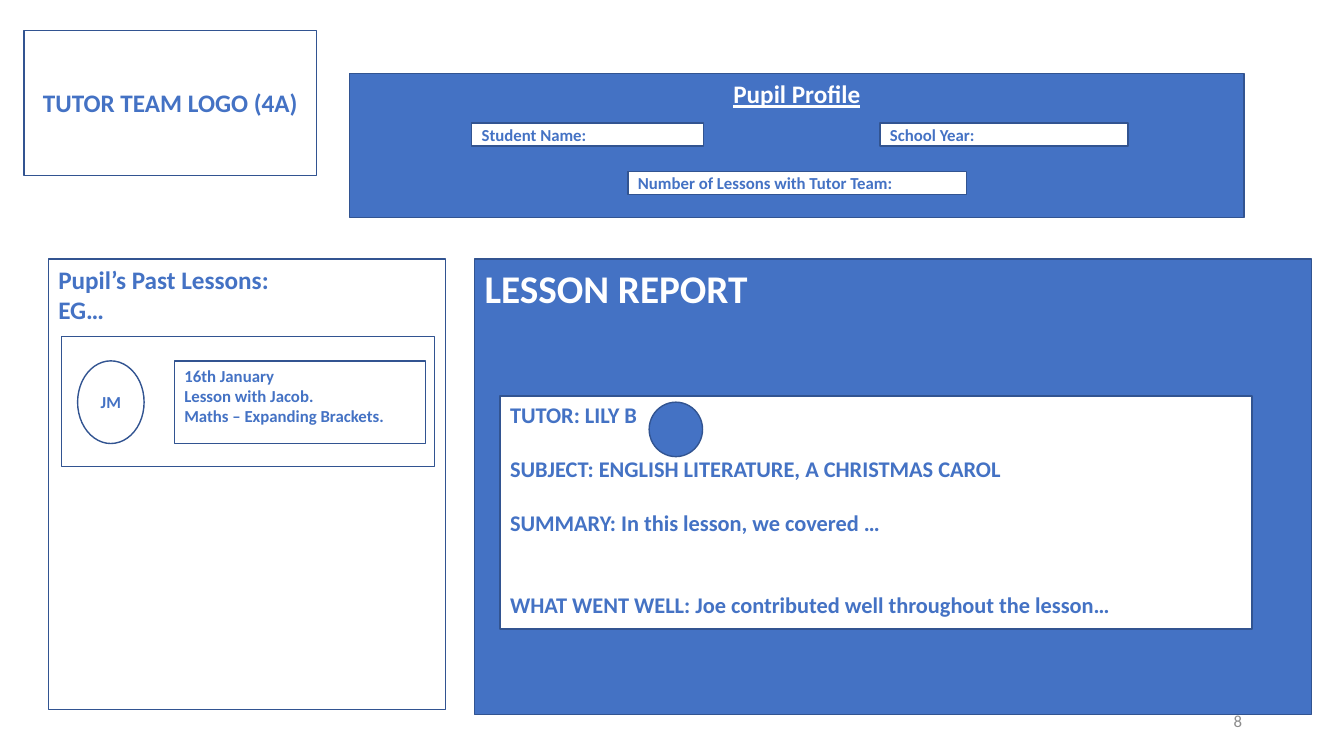
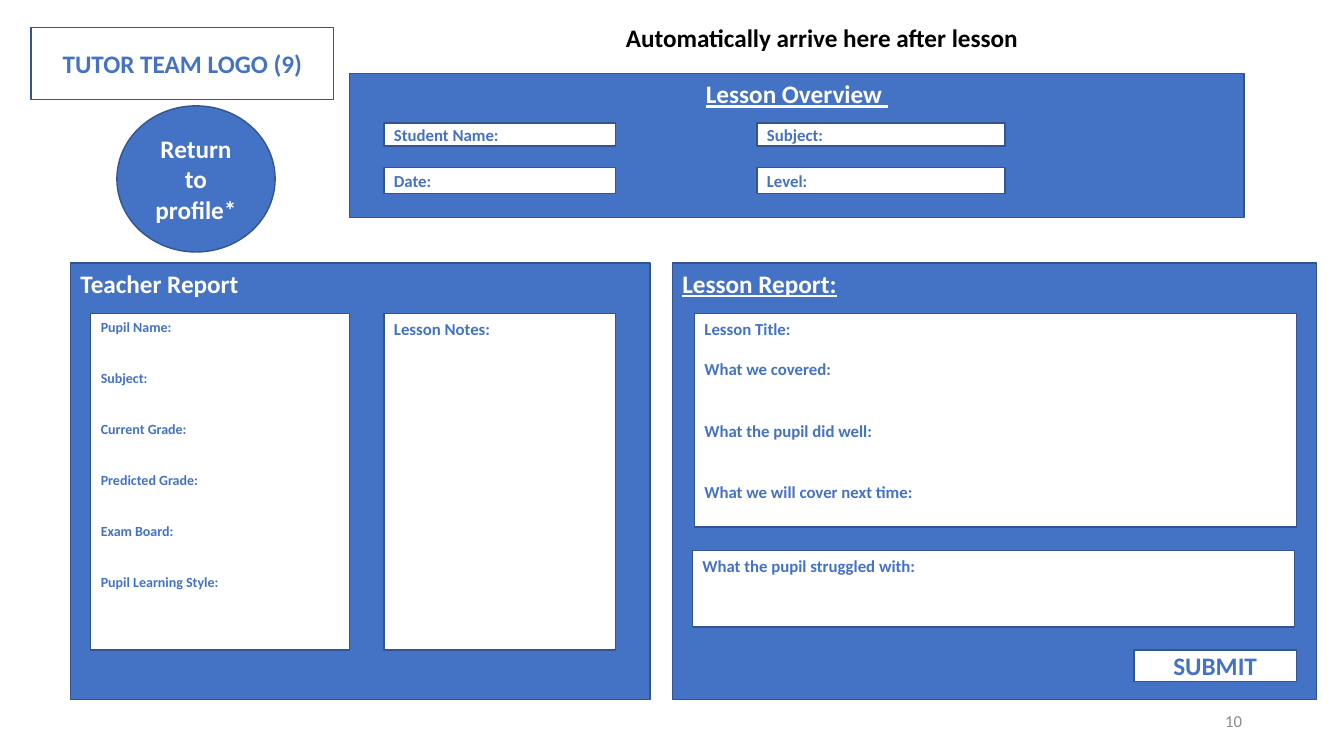
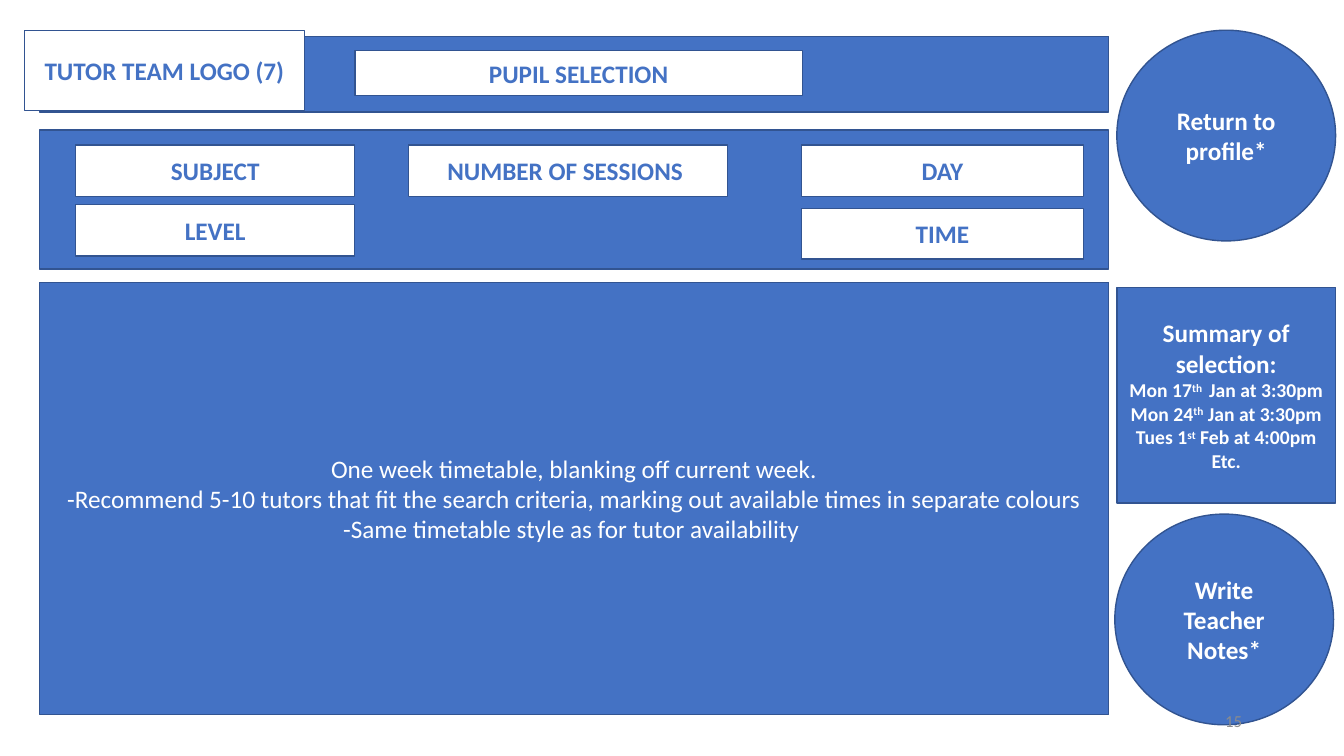
from dataclasses import dataclass
from enum import Enum
from typing import NamedTuple

import pptx
import pptx.dml.color
import pptx.enum.shapes
import pptx.enum.text
import pptx.util
from lxml import etree

RGBColor = pptx.dml.color.RGBColor
Align = pptx.enum.text.PP_ALIGN
Anchor = pptx.enum.text.MSO_ANCHOR
Preset = pptx.enum.shapes.MSO_SHAPE

# Shared look
BLUE = RGBColor(0x44, 0x72, 0xC4)
OUTLINE = RGBColor(0x32, 0x54, 0x91)
WHITE = RGBColor(0xFF, 0xFF, 0xFF)
BLACK = RGBColor(0x00, 0x00, 0x00)
GREY = RGBColor(0x8C, 0x8C, 0x8C)
FONT = "Calibri"
LINE_HEIGHT = 1.22
HEADING, FIELD = 18, 12

# The grid: every place is given in columns and rows of a tenth of an inch
COLUMNS, ROWS = 133.33, 75
CELL = pptx.util.Inches(0.1)


class Place(NamedTuple):
    left: float
    top: float
    width: float
    height: float


class Line(NamedTuple):
    """One paragraph; the text between carets is superscript."""
    text: str
    gap: int = 0  # empty line heights above
    size: int = 0  # 0 takes the size of the panel


class Role(Enum):
    BOX = "box"
    CIRCLE = "circle"
    TITLE = "title"
    BODY = "body"


@dataclass(frozen=True)
class Panel:
    place: Place
    lines: tuple[Line, ...] = ()
    fill: RGBColor = WHITE
    size: int = HEADING
    align: Align = Align.LEFT
    anchor: Anchor = Anchor.TOP
    bold: bool = True
    underline: bool = False
    role: Role = Role.BOX


@dataclass(frozen=True)
class PageContent:
    number: str
    panels: tuple[Panel, ...]
    note: str = ""


# Recurring kinds of panel
def field(place: Place, text: str) -> Panel:
    return Panel(place, (Line(text),), size=FIELD, anchor=Anchor.MIDDLE)


def button(place: Place, text: str, role: Role = Role.BOX) -> Panel:
    return Panel(place, (Line(text),), align=Align.CENTER,
                 anchor=Anchor.MIDDLE, role=role)


def circle(place: Place, text: str = "", fill: RGBColor = BLUE,
           size: int = HEADING) -> Panel:
    lines = (Line(text),) if text else ()
    return Panel(place, lines, fill, size, Align.CENTER, Anchor.MIDDLE,
                 role=Role.CIRCLE)


def title_band(text: str) -> Panel:
    return Panel(Place(34.7, 7.3, 88.7, 14.3), (Line(text),), BLUE,
                 align=Align.CENTER, underline=True, role=Role.TITLE)


# Drawing
def emu(place: Place) -> list[int]:
    return [round(cells * CELL) for cells in place]


def write_line(para, line: Line, panel: Panel, first: bool) -> None:
    size = line.size or panel.size
    para.alignment = panel.align
    para.space_before = pptx.util.Pt(0 if first else line.gap * size * LINE_HEIGHT)
    if panel.role is Role.BODY:
        properties = para._p.get_or_add_pPr()
        properties.set("marL", "0")
        properties.set("indent", "0")
        namespace = etree.QName(properties).namespace
        etree.SubElement(properties, f"{{{namespace}}}buNone")
    para.font.name = FONT
    para.font.size = pptx.util.Pt(size)
    para.font.bold = panel.bold
    para.font.underline = panel.underline
    para.font.color.rgb = WHITE if panel.fill == BLUE else BLUE
    for index, text in enumerate(line.text.split("^")):
        span = para.add_run()
        span.text = text
        if index % 2:
            span._r.get_or_add_rPr().set("baseline", "30000")


def draw_panel(page, panel: Panel) -> None:
    left, top, width, height = emu(panel.place)
    if panel.role in (Role.TITLE, Role.BODY):
        box = page.shapes.title if panel.role is Role.TITLE else page.placeholders[1]
        box.left, box.top, box.width, box.height = left, top, width, height
        page.shapes._spTree.append(box._element)  # keep the stacking order
    else:
        preset = Preset.OVAL if panel.role is Role.CIRCLE else Preset.RECTANGLE
        box = page.shapes.add_shape(preset, left, top, width, height)
    box.shadow.inherit = False
    box.fill.solid()
    box.fill.fore_color.rgb = panel.fill
    box.line.color.rgb = OUTLINE
    box.line.width = pptx.util.Pt(1)
    frame = box.text_frame
    frame.word_wrap = True
    frame.auto_size = pptx.enum.text.MSO_AUTO_SIZE.NONE
    frame.vertical_anchor = panel.anchor
    for index, line in enumerate(panel.lines):
        para = frame.add_paragraph() if index else frame.paragraphs[0]
        write_line(para, line, panel, first=index == 0)


def draw_label(page, place: Place, text: str, size: int, color: RGBColor,
               align: Align, bold: bool, wrap: bool) -> None:
    frame = page.shapes.add_textbox(*emu(place)).text_frame
    frame.word_wrap = wrap
    frame.vertical_anchor = Anchor.MIDDLE
    para = frame.paragraphs[0]
    para.text = text
    para.alignment = align
    para.font.name = FONT
    para.font.size = pptx.util.Pt(size)
    para.font.bold = bold
    para.font.color.rgb = color


def draw_page(deck, content: PageContent) -> None:
    page = deck.slides.add_slide(deck.slide_layouts[1])
    for panel in content.panels:
        draw_panel(page, panel)
    if content.note:
        draw_label(page, Place(61.1, 1.7, 41.3, 4), content.note, HEADING,
                   BLACK, Align.LEFT, bold=True, wrap=False)
    draw_label(page, Place(94.2, 69.5, 30, 4), content.number, FIELD,
               GREY, Align.RIGHT, bold=False, wrap=True)


# Pupil profile
PROFILE = PageContent("8", (
    button(Place(2.4, 3, 29, 14.4), "TUTOR TEAM LOGO (4A)"),
    title_band("Pupil Profile"),
    field(Place(46.8, 12.2, 23, 2.3), "Student Name:"),
    field(Place(62.3, 17, 33.6, 2.3), "Number of Lessons with Tutor Team:"),
    field(Place(87.3, 12.2, 24.6, 2.3), "School Year:"),
    Panel(Place(4.8, 25.7, 39.4, 44.7),
          (Line("Pupil’s Past Lessons:"), Line("EG…"))),
    Panel(Place(47.1, 25.7, 83, 45.2), (Line("LESSON REPORT"),), BLUE, size=28),
    Panel(Place(6.1, 33.4, 37, 12.9)),
    circle(Place(7.7, 35.8, 6.6, 8.2), "JM", WHITE, FIELD),
    Panel(Place(17.3, 35.8, 24.9, 8.2),
          (Line("16th January"), Line("Lesson with Jacob."),
           Line("Maths – Expanding Brackets.")), size=FIELD),
    Panel(Place(49.6, 39.3, 74.6, 23.1),
          (Line("TUTOR: LILY B"),
           Line("SUBJECT: ENGLISH LITERATURE, A CHRISTMAS CAROL", 1),
           Line("SUMMARY: In this lesson, we covered …", 1),
           Line("WHAT WENT WELL: Joe contributed well throughout the lesson…", 2)),
          size=16, role=Role.BODY),
    circle(Place(64.4, 39.9, 5.3, 5.4)),
))

# Lesson overview
PUPIL_DETAILS = ("Pupil Name:", "Subject:", "Current Grade:", "Predicted Grade:",
                 "Exam Board:", "Pupil Learning Style:")
OVERVIEW_FIELDS = (("Student Name:", "Subject:"), ("Date:", "Level:"))
OVERVIEW_COLUMNS = ((38.1, 23), (75.1, 24.6))
OVERVIEW_ROWS = ((12.2, 2.3), (16.6, 2.6))

OVERVIEW = PageContent("10", (
    circle(Place(11.6, 10.5, 15.7, 14.5), "Return to profile*"),
    title_band("Lesson Overview "),
    Panel(Place(7, 26.1, 57.5, 43.3), (Line("Teacher Report"),), BLUE),
    Panel(Place(66.7, 26.1, 63.9, 43.3), (Line("Lesson Report:"),), BLUE,
          underline=True),
    Panel(Place(9, 31.1, 25.7, 33.4),
          tuple(Line(text, 2) for text in PUPIL_DETAILS), size=10, role=Role.BODY),
    Panel(Place(38.1, 31.1, 23, 33.4), (Line("Lesson Notes:"),), size=FIELD),
    button(Place(3.1, 2.7, 30, 7.2), "TUTOR TEAM LOGO (9)"),
    *(field(Place(left, top, width, height), text)
      for (top, height), texts in zip(OVERVIEW_ROWS, OVERVIEW_FIELDS)
      for (left, width), text in zip(OVERVIEW_COLUMNS, texts)),
    Panel(Place(68.9, 31.1, 59.7, 21.2),
          (Line("Lesson Title:"), Line("What we covered:", 1),
           Line("What the pupil did well:", 2),
           Line("What we will cover next time:", 2)), size=FIELD),
    Panel(Place(68.7, 54.6, 59.7, 7.6),
          (Line("What the pupil struggled with:"),), size=FIELD),
    button(Place(112.5, 64.5, 16.1, 3.1), "SUBMIT"),
), note="Automatically arrive here after lesson")

# Pupil selection
BAND_LEFT, BAND_WIDTH = 3.9, 106.1
SELECTION = PageContent("15", (
    Panel(Place(BAND_LEFT, 3.6, BAND_WIDTH, 7.5), fill=BLUE),
    Panel(Place(BAND_LEFT, 28, BAND_WIDTH, 42.9),
          (Line("One week timetable, blanking off current week."),
           Line("-Recommend 5-10 tutors that fit the search criteria, "
                "marking out available times in separate colours"),
           Line("-Same timetable style as for tutor availability ")),
          BLUE, align=Align.CENTER, anchor=Anchor.MIDDLE, bold=False, role=Role.BODY),
    Panel(Place(BAND_LEFT, 12.9, BAND_WIDTH, 13.8), fill=BLUE),
    circle(Place(110.8, 3, 21.7, 20.9), "Return to profile*"),
    circle(Place(110.6, 51, 21.7, 20.9), "Write Teacher Notes*"),
    Panel(Place(110.8, 28.5, 21.7, 21.4),
          (Line("Summary of selection:"),
           Line("Mon 17^th ^ Jan at 3:30pm", size=14),
           Line("Mon 24^th^ Jan at 3:30pm", size=14),
           Line("Tues 1^st^ Feb at 4:00pm", size=14),
           Line("Etc.", size=14)),
          BLUE, align=Align.CENTER, anchor=Anchor.MIDDLE),
    button(Place(35.2, 5, 44.4, 4.5), "PUPIL SELECTION", Role.TITLE),
    button(Place(7.5, 14.4, 27.7, 5.1), "SUBJECT"),
    button(Place(7.5, 20.3, 27.7, 5.1), "LEVEL"),
    button(Place(40.5, 14.4, 31.7, 5.1), "NUMBER OF SESSIONS "),
    button(Place(79.5, 14.4, 28, 5.1), "DAY"),
    button(Place(79.5, 20.7, 28, 5), "TIME"),
    button(Place(2.4, 3, 27.8, 8), "TUTOR TEAM LOGO (7)"),
))


def main() -> None:
    deck = pptx.Presentation()
    deck.slide_width = round(COLUMNS * CELL)
    deck.slide_height = ROWS * CELL
    for content in (PROFILE, OVERVIEW, SELECTION):
        draw_page(deck, content)
    deck.save("out.pptx")


if __name__ == "__main__":
    main()
